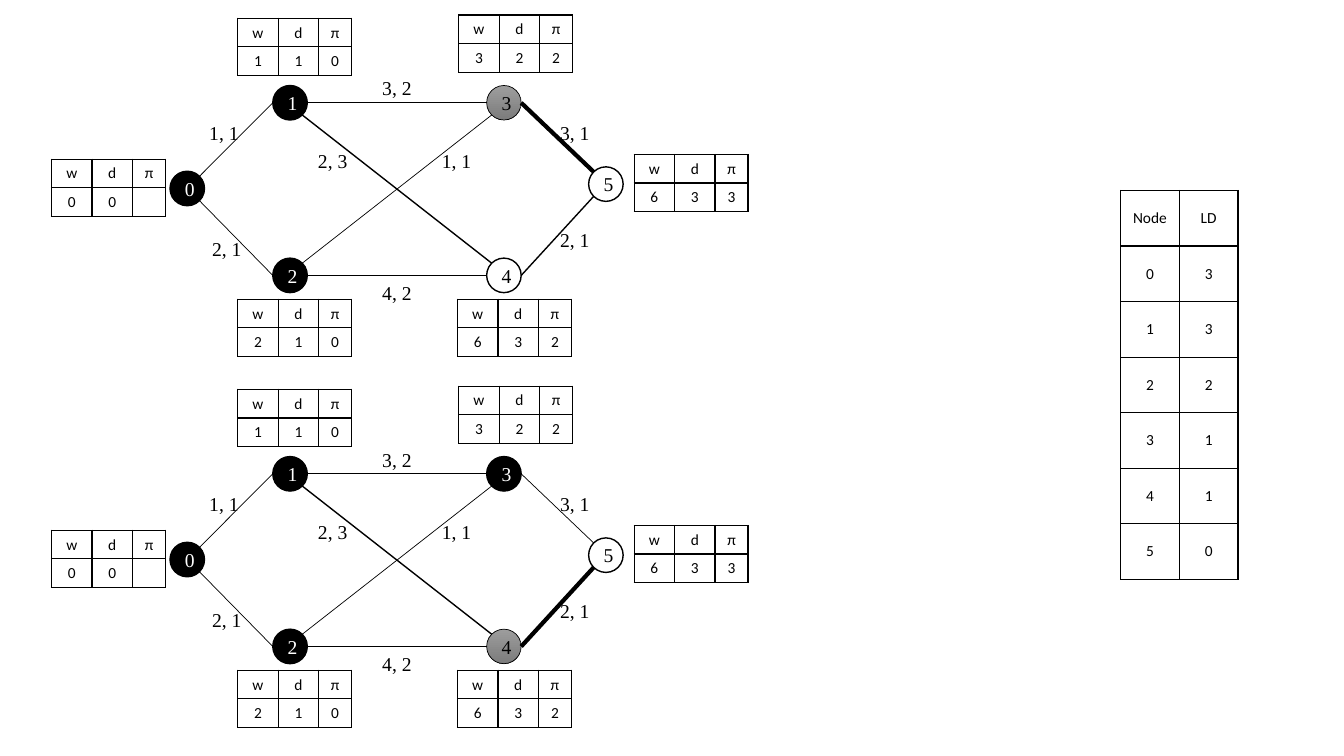
"""Build a slide with two steps of a graph search and a table of node distances."""
from collections import namedtuple
from math import cos, radians, sin

from lxml.etree import SubElement
from pptx import Presentation
from pptx.dml.color import RGBColor
from pptx.enum.shapes import MSO_CONNECTOR as Connector, MSO_SHAPE as Shape
from pptx.enum.text import MSO_ANCHOR as Anchor, PP_ALIGN as Align
from pptx.oxml.ns import qn
from pptx.util import Cm, Pt

BLACK = RGBColor(0x00, 0x00, 0x00)
WHITE = RGBColor(0xFF, 0xFF, 0xFF)
LIGHT_GREY = RGBColor(0x9D, 0x9D, 0x9D)
DARK_GREY = RGBColor(0x7C, 0x7C, 0x7C)

Box = namedtuple("Box", "left top width height")

NODE_SIZE = 0.87
NODE_CENTRES = [(3.42, 4.37), (6.01, 2.21), (6.01, 6.56),
                (11.4, 2.21), (11.4, 6.56), (13.97, 4.26)]
TOP_LEFT, LEFT, BOTTOM_LEFT, BOTTOM_RIGHT, RIGHT, TOP_RIGHT = 135, 180, 225, 315, 0, 45
EDGES = [
    (0, TOP_RIGHT, 1, LEFT, 0.5),
    (1, RIGHT, 3, LEFT, 0.5),
    (3, RIGHT, 5, TOP_LEFT, 0.5),
    (0, BOTTOM_RIGHT, 2, LEFT, 0.5),
    (2, RIGHT, 4, LEFT, 0.5),
    (4, RIGHT, 5, BOTTOM_LEFT, 1),
    (1, BOTTOM_RIGHT, 4, TOP_LEFT, 1),
    (2, TOP_RIGHT, 3, BOTTOM_LEFT, 0.5),
]
EDGE_LABELS = [
    ("1, 1", 3.53, 2.54), ("2, 1", 3.6, 5.46), ("3, 2", 7.89, 1.42), ("4, 2", 7.89, 6.58),
    ("2, 3", 6.27, 3.25), ("1, 1", 9.39, 3.25), ("3, 1", 12.37, 2.54), ("2, 1", 12.37, 5.23),
]
STATE_TABLES = [
    ("110", 4.69, 0.08), ("00", 0, 3.63), ("210", 4.69, 7.16),
    ("322", 10.26, 0), ("632", 10.23, 7.16), ("633", 14.68, 3.51),
]
LONGEST_DISTANCES = [3, 3, 2, 1, 1, 0]


def write(frame, text, font="Times New Roman", size=14, color=BLACK):
    """Write one centred line of text into a frame."""
    para = frame.paragraphs[0]
    para.alignment = Align.CENTER
    if not text:
        para._p.get_or_add_endParaRPr().set("sz", str(size * 100))
        return
    span = para.add_run()
    span.text = text
    span.font.name = font
    span.font.size = Pt(size)
    span.font.color.rgb = color


def add_border(cell):
    """Give a cell thin black lines on every side."""
    properties = cell._tc.get_or_add_tcPr()
    for side in ("a:lnL", "a:lnR", "a:lnT", "a:lnB"):
        line = SubElement(properties, qn(side), w=str(Pt(1)))
        fill = SubElement(line, qn("a:solidFill"))
        SubElement(fill, qn("a:srgbClr"), val=str(BLACK))


def add_grid(slide, box, rows, widths):
    """Place a plain bordered table with equal row heights in the box."""
    table = slide.shapes.add_table(len(rows), len(widths), *map(Cm, box)).table
    table.first_row = table.horz_banding = False
    for column, width in zip(table.columns, widths):
        column.width = Cm(width)
    for row, texts in zip(table.rows, rows):
        row.height = Cm(box.height / len(rows))
        for cell, text in zip(row.cells, texts):
            cell.vertical_anchor = Anchor.MIDDLE
            add_border(cell)
            cell.fill.background()
            write(cell.text_frame, text, font="Calibri", size=11)


def add_node(group, box, name, current):
    """Place a node: black when visited, grey when current, white when waiting."""
    node = group.shapes.add_shape(Shape.OVAL, *map(Cm, box))
    node.shadow.inherit = False
    node.line.color.rgb = BLACK
    node.line.width = Pt(0.5 if name == current else 1)
    if name == current:
        node.fill.gradient()
        node.fill.gradient_angle = 270
        for stop, color in zip(node.fill.gradient_stops, (LIGHT_GREY, DARK_GREY)):
            stop.color.rgb = color
    else:
        node.fill.solid()
        node.fill.fore_color.rgb = BLACK if name < current else WHITE
    write(node.text_frame, str(name), color=WHITE if name < current else BLACK)


def rim_point(box, name, angle):
    """Return the point on a node's rim at an angle in degrees."""
    x, y = NODE_CENTRES[name]
    radius = NODE_SIZE / 2
    return (Cm(box.left + x + radius * cos(radians(angle))),
            Cm(box.top + y - radius * sin(radians(angle))))


def add_edge(group, start, end, width):
    """Draw a black line between two points."""
    edge = group.shapes.add_connector(Connector.STRAIGHT, *start, *end)
    edge.line.color.rgb = BLACK
    edge.line.width = Pt(width)
    SubElement(edge._element.spPr, qn("a:effectLst"))


def add_graph(slide, box, current):
    """Draw the search step that handles the current node."""
    group = slide.shapes.add_group_shape()
    for name, (x, y) in enumerate(NODE_CENTRES):
        corner = box.left + x - NODE_SIZE / 2, box.top + y - NODE_SIZE / 2
        add_node(group, Box(*corner, NODE_SIZE, NODE_SIZE), name, current)
    for start, start_angle, end, end_angle, width in EDGES:
        active = (start, end) == (current, 5)
        add_edge(group, rim_point(box, start, start_angle),
                 rim_point(box, end, end_angle), 3 if active else width)
    for text, x, y in EDGE_LABELS:
        label = group.shapes.add_textbox(Cm(box.left + x), Cm(box.top + y), Cm(1.63), Cm(0.86))
        label.text_frame.word_wrap = True
        write(label.text_frame, text)
    for values, x, y in STATE_TABLES:
        add_grid(slide, Box(box.left + x, box.top + y, 2.87, 1.44),
                 ["wdπ", values.ljust(3).replace(" ", "-").split("-")[0] and
                  [*values, ""][:3]], [1.02, 1.02, 0.83])


def add_distances(slide, box):
    """Place the table of longest distances by node."""
    rows = [("Node", "LD")]
    rows += [(str(name), str(distance)) for name, distance in enumerate(LONGEST_DISTANCES)]
    add_grid(slide, box, rows, [box.width / 2] * 2)


def main():
    """Build and save the deck."""
    deck = Presentation()
    deck.slide_width, deck.slide_height = Cm(33.87), Cm(19.05)
    slide = deck.slides.add_slide(deck.slide_layouts[6])
    add_distances(slide, Box(28.24, 4.8, 2.96, 9.8))
    for step, current in enumerate((3, 4)):
        add_graph(slide, Box(1.3, 0.38 + 9.35 * step, 17.55, 8.6), current)
    deck.save("out.pptx")


main()
